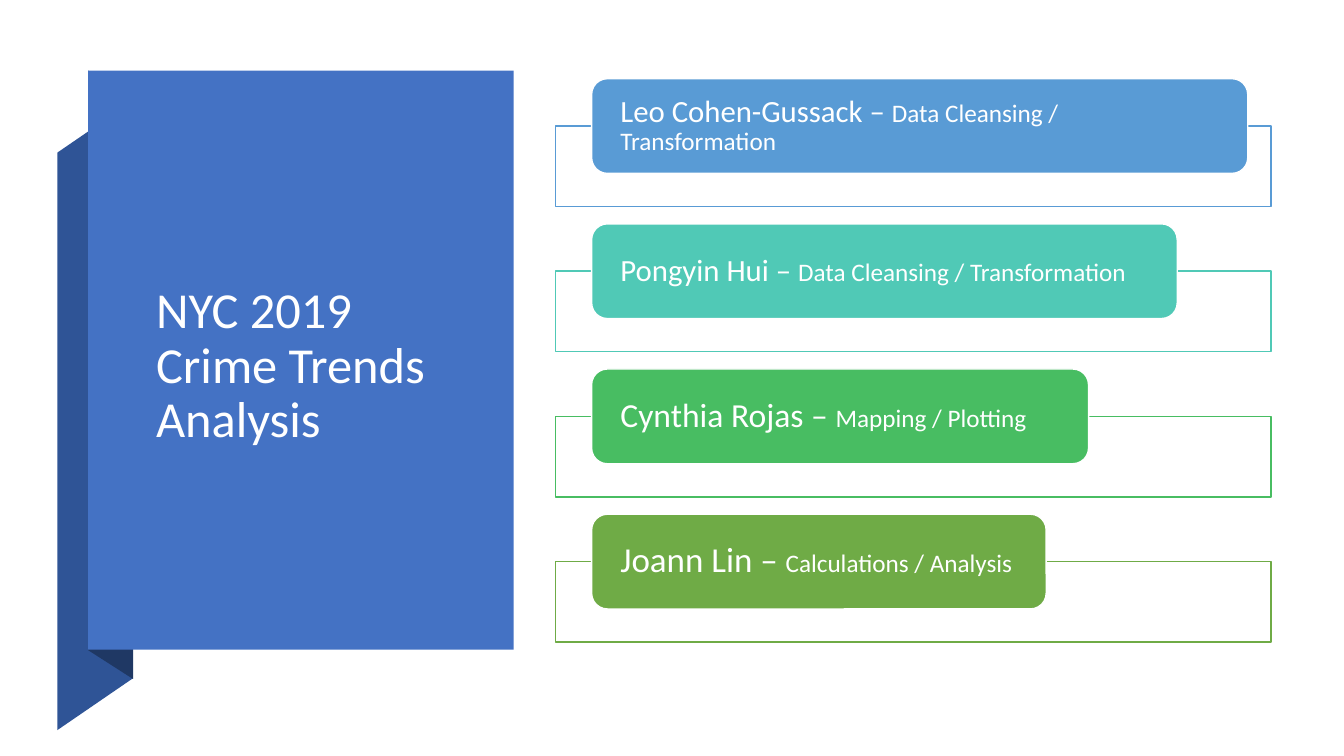
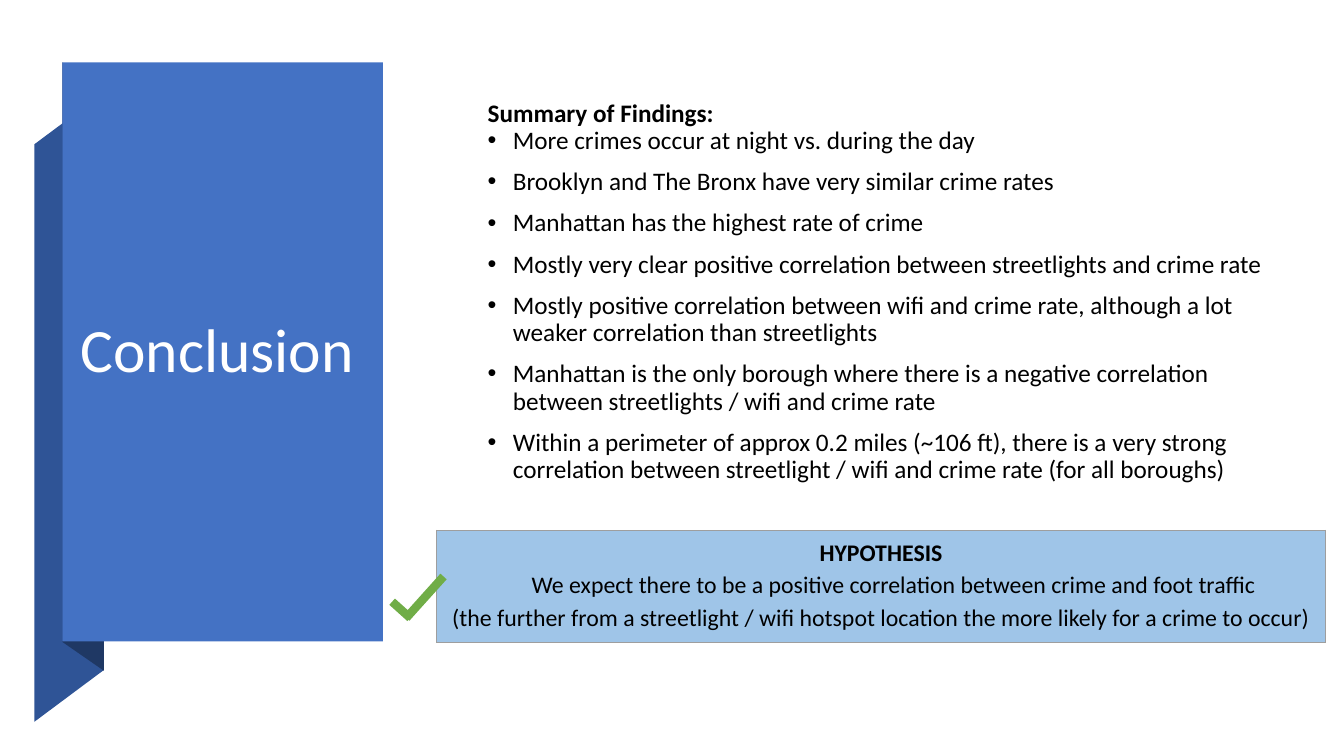
from lxml.etree import SubElement
from pptx import Presentation
from pptx.dml.color import RGBColor
from pptx.enum.shapes import MSO_CONNECTOR as CONN, MSO_SHAPE as SHAPE
from pptx.enum.text import MSO_ANCHOR as ANCHOR, PP_ALIGN as ALIGN
from pptx.oxml import parse_xml
from pptx.oxml.ns import nsdecls, qn
from pptx.util import Pt

FONT = "Calibri"
COLORS = {
    "white": "FFFFFF", "black": "000000", "panel": "4472C4",
    "ribbon": "2F5496", "fold": "1F3864", "blue": "599BD5",
    "teal": "50C9B6", "green": "48BD62", "olive": "6FAB46",
    "check": "70AD47", "box": "9FC5E8", "border": "9E9E9E",
}
RGB = {name: RGBColor.from_string(value) for name, value in COLORS.items()}


def write(p, parts, color, spacing=0.9, bold=False):
    p.line_spacing = spacing
    for text, size in parts:
        r = p.add_run()
        r.text = text
        r.font.name, r.font.size, r.font.bold = FONT, Pt(size), bold
        r.font.color.rgb = RGB[color]


def add_banner(s, back, left, fold, top, width, title, title_box, size):
    ribbon = [(back, top + 471), (fold, top + 434), (fold, top + 21.5), (back, top + 58.5)]
    underside = [(left, top + 414), (fold, top + 434.5), (fold, top + 21), (left, top)]
    for points, color in ((ribbon, "ribbon"), (underside, "fold")):
        points = [(Pt(x), Pt(y)) for x, y in points]
        builder = s.shapes.build_freeform(*points[0])
        builder.add_line_segments(points[1:], close=True)
        sp = builder.convert_to_shape()
        sp.shadow.inherit = False
        sp.fill.solid()
        sp.fill.fore_color.rgb = RGB[color]
        sp.line.fill.background()
    sp = s.shapes.add_shape(SHAPE.RECTANGLE, Pt(left), Pt(top), Pt(width), Pt(413.5))
    sp.shadow.inherit = False
    sp.fill.solid()
    sp.fill.fore_color.rgb = RGB["panel"]
    sp.line.fill.background()
    tf = s.shapes.add_textbox(*map(Pt, title_box)).text_frame
    tf.word_wrap = True
    tf.vertical_anchor = ANCHOR.MIDDLE
    write(tf.paragraphs[0], [(title, size)], "white")


prs = Presentation()
prs.slide_width, prs.slide_height = Pt(960), Pt(540)
blank = prs.slide_layouts[6]

s = prs.slides.add_slide(blank)
add_banner(s, 41, 63, 95, 50.5, 304, "NYC 2019 Crime Trends Analysis",
           (104.4, 120.2, 216.7, 283.7), 36)

members = [
    ("Leo Cohen-Gussack – ", 22, "Data Cleansing / Transformation", "blue", 468.7),
    ("Pongyin Hui – ", 22, "Data Cleansing / Transformation", "teal", 418.3),
    ("Cynthia Rojas – ", 24, "Mapping / Plotting", "green", 355),
    ("Joann Lin – ", 25, "Calculations / Analysis", "olive", 324.7),
]
for i, (name, size, role, color, width) in enumerate(members):
    top = 56.2 + i * 103.7
    frame = s.shapes.add_shape(SHAPE.RECTANGLE, Pt(396.7), Pt(top + 33.8), Pt(511.2), Pt(57.6))
    card = s.shapes.add_shape(SHAPE.ROUNDED_RECTANGLE, Pt(422.6), Pt(top), Pt(width), Pt(67.7))
    for sp, fill, line in ((frame, "white", color), (card, color, "white")):
        sp.shadow.inherit = False
        sp.fill.solid()
        sp.fill.fore_color.rgb = RGB[fill]
        sp.line.color.rgb = RGB[line]
        sp.line.width = Pt(1)
    tf = card.text_frame
    tf.word_wrap = True
    tf.vertical_anchor = ANCHOR.MIDDLE
    tf.margin_left = tf.margin_right = Pt(17.3)
    tf.margin_top = tf.margin_bottom = 0
    p = tf.paragraphs[0]
    p.alignment = ALIGN.LEFT
    write(p, [(name, size), (role, 18)], "white")

s = prs.slides.add_slide(blank)
add_banner(s, 24.5, 44.6, 74.2, 44.6, 229, "Conclusion",
           (50.4, 69.8, 223.2, 364.3), 44)

findings = [
    "More crimes occur at night vs. during the day",
    "Brooklyn and The Bronx have very similar crime rates",
    "Manhattan has the highest rate of crime",
    "Mostly very clear positive correlation between streetlights and crime rate",
    "Mostly positive correlation between wifi and crime rate, although a lot weaker correlation than streetlights",
    "Manhattan is the only borough where there is a negative correlation between streetlights / wifi and crime rate",
    "Within a perimeter of approx 0.2 miles (~106 ft), there is a very strong correlation between streetlight / wifi and crime rate (for all boroughs)",
]
tf = s.shapes.add_textbox(Pt(341.3), Pt(44.6), Pt(580.3), Pt(315.4)).text_frame
tf.word_wrap = True
tf.vertical_anchor = ANCHOR.MIDDLE
write(tf.paragraphs[0], [("Summary of Findings:", 18)], "black", 1.5, True)
for i, finding in enumerate(findings):
    p = tf.add_paragraph()
    write(p, [(finding, 18)], "black")
    p.space_before = Pt(10 if i else 0)
    pPr = p._p.get_or_add_pPr()
    pPr.set("marL", str(Pt(18)))
    pPr.set("indent", str(-Pt(18)))
    SubElement(pPr, qn("a:buFont")).set("typeface", "Arial")
    SubElement(pPr, qn("a:buChar")).set("char", "•")

table_frame = s.shapes.add_table(1, 1, Pt(311.8), Pt(378.7), Pt(635), Pt(80))
cell = table_frame.table.cell(0, 0)
cell.fill.solid()
cell.fill.fore_color.rgb = RGB["box"]
cell.margin_left = cell.margin_right = cell.margin_top = cell.margin_bottom = Pt(7.2)
tcPr = cell._tc.get_or_add_tcPr()
for i, side in enumerate(("lnL", "lnR", "lnT", "lnB")):
    tcPr.insert(i, parse_xml(
        f'<a:{side} {nsdecls("a")} w="{Pt(0.75)}"><a:solidFill>'
        f'<a:srgbClr val="{COLORS["border"]}"/></a:solidFill></a:{side}>'))
hypothesis = [
    ("HYPOTHESIS", 0.9, True, 0),
    ("We expect there to be a positive correlation between crime and foot traffic", 1.15, False, 18),
    ("(the further from a streetlight / wifi hotspot location the more likely for a crime to occur)", 1.15, False, 0),
]
tf = cell.text_frame
for i, (text, spacing, bold, indent) in enumerate(hypothesis):
    p = tf.add_paragraph() if i else tf.paragraphs[0]
    p.alignment = ALIGN.CENTER
    write(p, [(text, 17)], "black", spacing, bold)
    p._p.get_or_add_pPr().set("marL", str(Pt(indent)))

for ends in ((280.1, 429.8, 293, 441.4), (290.2, 441.4, 316.8, 411.8)):
    stroke = s.shapes.add_connector(CONN.STRAIGHT, *map(Pt, ends))
    stroke.line.color.rgb = RGB["check"]
    stroke.line.width = Pt(6)
    SubElement(stroke._element.spPr, qn("a:effectLst"))

prs.save("out.pptx")
